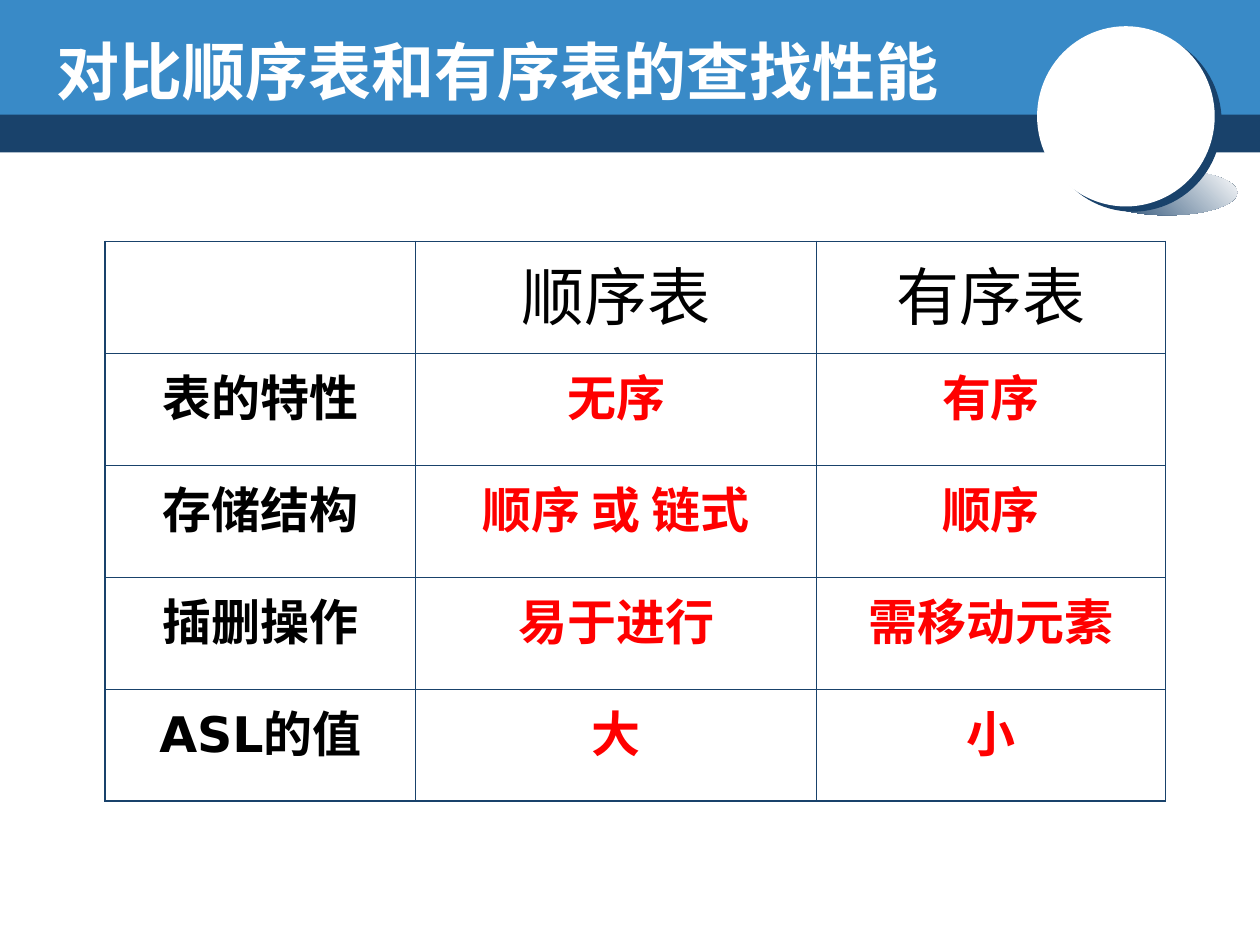
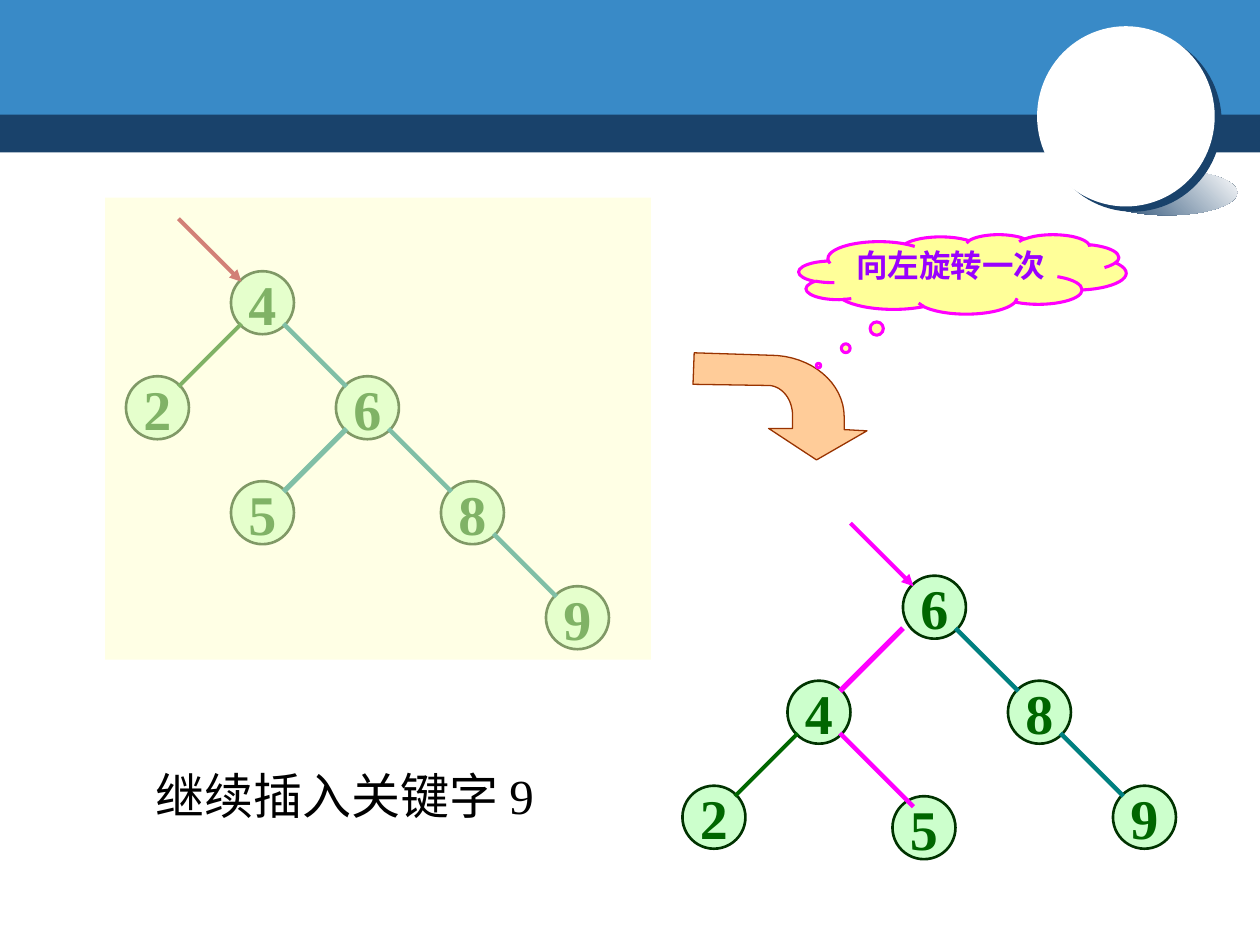
from lxml import etree
from pptx import Presentation
from pptx.dml.color import RGBColor
from pptx.enum import shapes, text
from pptx.oxml import ns
from pptx.util import Pt

COLORS = {
    "navy": "19426B", "blue": "398AC7", "white": "FFFFFF", "black": "000000",
    "red": "FF0000", "node": "CCFFCC", "node line": "003300", "green": "006600",
    "teal": "008080", "crimson": "A50021", "magenta": "FF00FF", "veil": "FFFFCC",
    "cloud": "FFFF99", "violet": "9900FF", "peach": "FFCC99", "brown": "993300",
}
CJK_FONT = "Noto Sans CJK SC"
TITLE = "对比顺序表和有序表的查找性能"
COMPARISON = [
    ["", "顺序表", "有序表"],
    ["表的特性", "无序", "有序"],
    ["存储结构", "顺序 或 链式", "顺序"],
    ["插删操作", "易于进行", "需移动元素"],
    ["ASL的值", "大", "小"],
]
COLUMN_WIDTHS = [177.6, 229, 199.4]
ROW_HEIGHT = 64
CAPTION = "继续插入关键字 9"
HINT = "向左旋转一次"

NODE_SIZE = 36
NODE_INSET = 6
TREE_BEFORE = {
    "nodes": {"4": (132, 155), "2": (72, 215), "6": (192, 215),
              "5": (132, 275), "8": (252, 275), "9": (312, 335)},
    "edges": [("4", "2", "green", 2.25, 0, 0), ("4", "6", "teal", 2.5, 0, 0),
              ("6", "5", "teal", 3, 0, 0), ("6", "8", "teal", 2.5, 0, 0),
              ("8", "9", "teal", 2.5, 0, 0)],
    "root": "4", "pointer": "crimson",
}
TREE_AFTER = {
    "nodes": {"6": (516, 329), "4": (450, 389), "8": (576, 389),
              "2": (390, 449), "9": (636, 449), "5": (510, 455)},
    "edges": [("4", "2", "green", 2.25, 0, 0), ("6", "4", "magenta", 3, -6, 0),
              ("6", "8", "teal", 2.5, 0, 0), ("8", "9", "teal", 2.5, 0, 0),
              ("4", "5", "magenta", 2.5, 0, 6)],
    "root": "6", "pointer": "magenta",
}
TURN_START = (466.6, 262.8)
TURN_OUTLINE = [
    [(495.4, 246.2)], [(482.4, 245.5)], [(482.4, 238.3)],
    [(482.4, 218.9), (463.7, 203), (439.9, 203)],
    [(396.7, 201.6)], [(396, 219.6)], [(439.9, 220.3)],
    [(447.1, 221), (452.9, 228.2), (452.9, 237.6)],
    [(452.9, 244.8)], [(439.2, 244.8)],
]


def rgb(name):
    return RGBColor.from_string(COLORS[name])


def add_xml(parent, tag, **attributes):
    child = etree.SubElement(parent, ns.qn(tag))
    for key, value in attributes.items():
        child.set(key, str(value))
    return child


def paint(shape, fill=None, line=None, width=1):
    shape.shadow.inherit = False
    if fill:
        shape.fill.solid()
        shape.fill.fore_color.rgb = rgb(fill)
    if line:
        shape.line.color.rgb = rgb(line)
        shape.line.width = Pt(width)
    else:
        shape.line.fill.background()


def add_figure(slide, kind, box, fill=None, line=None, width=1):
    shape = slide.shapes.add_shape(kind, *map(Pt, box))
    paint(shape, fill, line, width)
    return shape


def write(frame, words, size, color, font, bold=False, align=text.PP_ALIGN.CENTER):
    paragraph = frame.paragraphs[0]
    paragraph.alignment = align
    run = paragraph.add_run()
    run.text = words
    run.font.size = Pt(size)
    run.font.bold = bold
    run.font.color.rgb = rgb(color)
    run.font.name = font
    add_xml(run._r.get_or_add_rPr(), "a:ea", typeface=CJK_FONT)


def add_line(slide, start, end, color, width, arrow=False):
    line = slide.shapes.add_connector(
        shapes.MSO_CONNECTOR.STRAIGHT, *map(Pt, (*start, *end)))
    line.line.color.rgb = rgb(color)
    line.line.width = Pt(width)
    properties = line.element.spPr
    if arrow:
        add_xml(properties.find(ns.qn("a:ln")), "a:tailEnd", type="triangle")
    add_xml(properties, "a:effectLst")


def decorate_layout(layout, slide):
    for placeholder in list(layout.placeholders):
        if placeholder.placeholder_format.type != shapes.PP_PLACEHOLDER.TITLE:
            placeholder.element.getparent().remove(placeholder.element)
    oval = shapes.MSO_SHAPE.OVAL
    rectangle = shapes.MSO_SHAPE.RECTANGLE
    dark_band = add_figure(slide, rectangle, (0, 62.6, 720, 24.5), "navy")
    light_band = add_figure(slide, rectangle, (0, 0, 720, 65.5), "blue")
    ground = add_figure(slide, oval, (627, 97, 80, 26))
    ground.fill.gradient()
    ground.fill.gradient_angle = 45
    for stop, color in zip(ground.fill.gradient_stops, ("navy", "white")):
        stop.color.rgb = rgb(color)
    ball = add_figure(slide, oval, (592.6, 15, 101.5, 103), "white")
    effects = ball.element.spPr.find(ns.qn("a:effectLst"))
    shadow = add_xml(effects, "a:outerShdw", blurRad=0, dist=Pt(5),
                     dir=37 * 60000, algn="ctr", rotWithShape=0)
    add_xml(shadow, "a:srgbClr", val=COLORS["navy"])
    for position, shape in enumerate((dark_band, light_band, ground, ball), 2):
        layout.shapes.element.insert(position, shape.element)


def fill_title(slide):
    title = slide.shapes.title
    title.left, title.top, title.width, title.height = map(Pt, (25, 15, 600, 50.4))
    frame = title.text_frame
    frame.auto_size = text.MSO_AUTO_SIZE.NONE
    frame.vertical_anchor = text.MSO_ANCHOR.MIDDLE
    write(frame, TITLE, 36, "white", CJK_FONT, True, text.PP_ALIGN.LEFT)


def set_borders(cell, outer_sides):
    properties = cell._tc.get_or_add_tcPr()
    for position, (tag, outer) in enumerate(zip(("a:lnL", "a:lnR", "a:lnT", "a:lnB"), outer_sides)):
        border = add_xml(properties, tag, w=Pt(1.08 if outer else 0.45))
        fill = add_xml(border, "a:solidFill")
        add_xml(fill, "a:srgbClr", val=COLORS["navy"])
        properties.insert(position, border)


def add_comparison(slide):
    rows, columns = len(COMPARISON), len(COLUMN_WIDTHS)
    table = slide.shapes.add_table(
        rows, columns, Pt(60), Pt(138), Pt(sum(COLUMN_WIDTHS)), Pt(rows * ROW_HEIGHT)).table
    table.first_row = table.horz_banding = False
    for column, width in zip(table.columns, COLUMN_WIDTHS):
        column.width = Pt(width)
    for r, entries in enumerate(COMPARISON):
        table.rows[r].height = Pt(ROW_HEIGHT)
        for c, words in enumerate(entries):
            cell = table.cell(r, c)
            cell.fill.background()
            set_borders(cell, (c == 0, c == columns - 1, r == 0, r == rows - 1))
            if words:
                color = "red" if r and c else "black"
                write(cell.text_frame, words, 28 if r else 36, color, "DejaVu Sans", r > 0)


def add_tree(slide, tree):
    nodes = tree["nodes"]
    for key, (left, top) in nodes.items():
        node = add_figure(slide, shapes.MSO_SHAPE.OVAL,
                          (left, top, NODE_SIZE, NODE_SIZE), "node", "node line", 1.5)
        node.text_frame.word_wrap = False
        node.text_frame.vertical_anchor = text.MSO_ANCHOR.MIDDLE
        write(node.text_frame, key, 32, "green", "Times New Roman", True)
    near, far = NODE_INSET, NODE_SIZE - NODE_INSET
    for parent, child, color, width, start_shift, end_shift in tree["edges"]:
        (left, top), (child_left, child_top) = nodes[parent], nodes[child]
        start_x, end_x = (near, far) if child_left < left else (far, near)
        add_line(slide, (left + start_x + start_shift, top + far),
                 (child_left + end_x + end_shift, child_top + near), color, width)
    left, top = nodes[tree["root"]]
    add_line(slide, (left - far, top - far), (left + near, top + near),
             tree["pointer"], 2.25, True)


def curve(start, controls, steps=16):
    points = [start, *controls]
    for step in range(1, steps + 1):
        t = step / steps
        weights = ((1 - t) ** 3, 3 * t * (1 - t) ** 2, 3 * t * t * (1 - t), t ** 3)
        yield tuple(sum(w * p[axis] for w, p in zip(weights, points)) for axis in (0, 1))


def add_turn_arrow(slide):
    points = [TURN_START]
    for segment in TURN_OUTLINE:
        points += curve(points[-1], segment) if len(segment) == 3 else segment
    corners = [(Pt(x), Pt(y)) for x, y in points]
    builder = slide.shapes.build_freeform(*corners[0])
    builder.add_line_segments(corners[1:], close=True)
    paint(builder.convert_to_shape(), "peach", "brown", 0.75)


def add_rotation(slide):
    add_tree(slide, TREE_BEFORE)
    veil = add_figure(slide, shapes.MSO_SHAPE.RECTANGLE, (60, 113, 312, 264), "veil")
    add_xml(veil.element.spPr.find(".//" + ns.qn("a:srgbClr")), "a:alpha", val=50000)
    add_tree(slide, TREE_AFTER)
    add_turn_arrow(slide)
    caption = slide.shapes.add_textbox(*map(Pt, (82, 434, 271.5, 41)))
    caption.text_frame.word_wrap = True
    write(caption.text_frame, CAPTION, 28, "black", "Times New Roman",
          align=text.PP_ALIGN.LEFT)
    cloud = add_figure(slide, shapes.MSO_SHAPE.CLOUD_CALLOUT,
                       (456.5, 134, 187, 45.4), "cloud", "magenta", 1.75)
    cloud.adjustments[0], cloud.adjustments[1] = -0.44, 1.15
    frame = cloud.text_frame
    frame.margin_left = frame.margin_right = frame.margin_top = frame.margin_bottom = 0
    frame.word_wrap = True
    frame.vertical_anchor = text.MSO_ANCHOR.TOP
    write(frame, HINT, 18, "violet", "Arial", True)


def main():
    presentation = Presentation()
    presentation.slide_width, presentation.slide_height = Pt(720), Pt(540)
    layout = presentation.slide_layouts[5]
    comparison = presentation.slides.add_slide(layout)
    decorate_layout(layout, comparison)
    fill_title(comparison)
    add_comparison(comparison)
    rotation = presentation.slides.add_slide(layout)
    empty_title = rotation.shapes.title.element
    empty_title.getparent().remove(empty_title)
    add_rotation(rotation)
    presentation.save("out.pptx")


if __name__ == "__main__":
    main()
